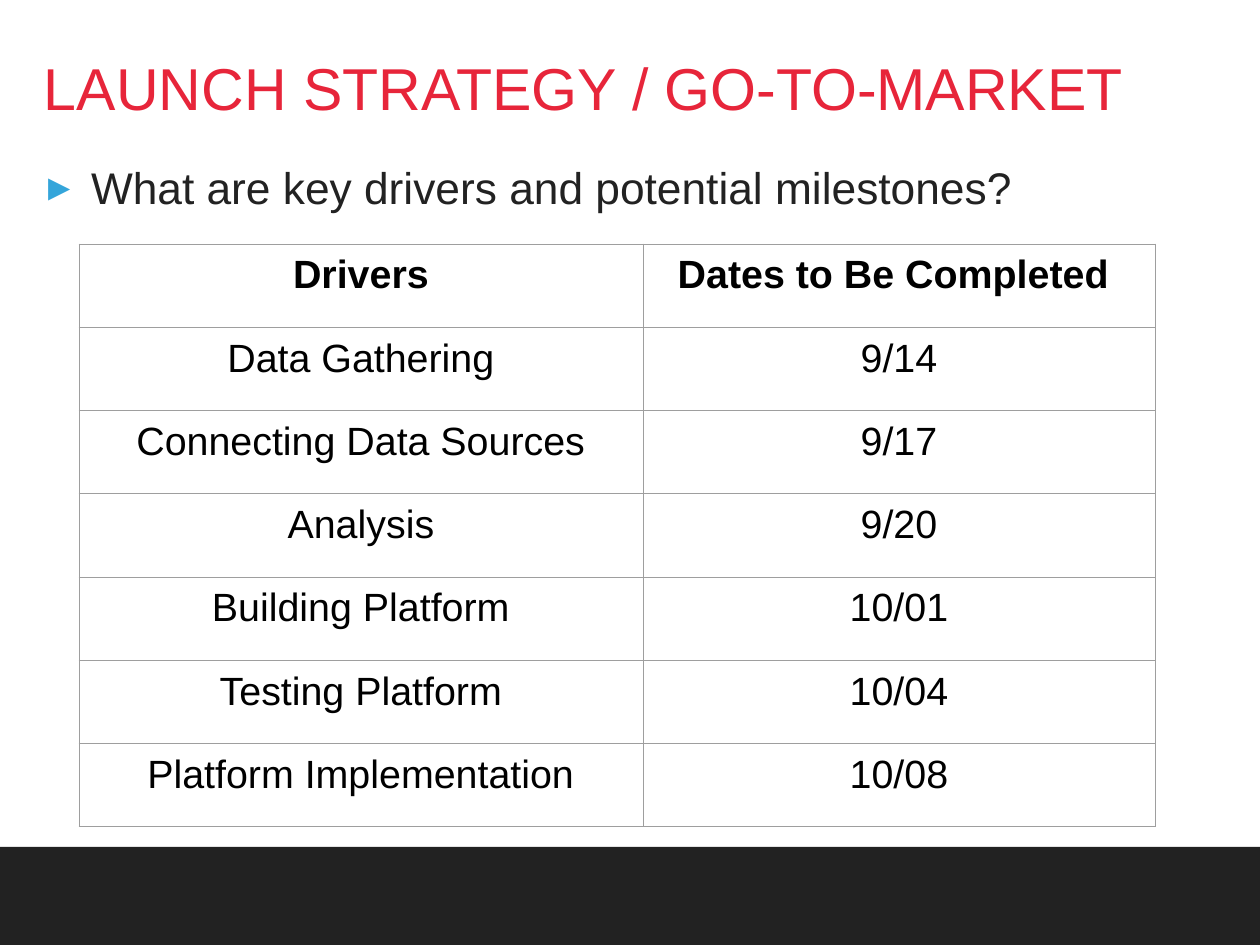
from lxml import etree
from pptx import Presentation
from pptx.dml.color import RGBColor
from pptx.enum.shapes import MSO_SHAPE
from pptx.enum.text import MSO_ANCHOR, PP_ALIGN
from pptx.oxml.ns import qn
from pptx.util import Pt

TITLE = "LAUNCH STRATEGY / GO-TO-MARKET"
QUESTION = "What are key drivers and potential milestones?"
MILESTONES = [
    ("Drivers", "Dates to Be Completed "),
    ("Data Gathering", "9/14"),
    ("Connecting Data Sources", "9/17"),
    ("Analysis", "9/20"),
    ("Building Platform", "10/01"),
    ("Testing Platform", "10/04"),
    ("Platform Implementation", "10/08"),
]

PX = 10320  # EMU per pixel
SLIDE_SIZE = (1260, 945)
TITLE_BOX = (39, 57, 1181, 70)
QUESTION_BOX = (39, 146, 1181, 88)
FOOTER_BOX = (-1, 847, 1262, 99)
TABLE_LEFT, TABLE_TOP, TABLE_HEIGHT = 79, 244, 583
COLUMN_WIDTHS = (564, 512)
CELL_INSET = 9
BULLET_INDENT = 43

FONT = "Arial"
RED = RGBColor(0xE7, 0x25, 0x3A)
DARK = RGBColor(0x22, 0x22, 0x22)
BLACK = RGBColor(0x00, 0x00, 0x00)
BULLET_BLUE = "34A5DA"
BORDER_GRAY = "9E9E9E"
TOP, BOTTOM = MSO_ANCHOR.TOP, MSO_ANCHOR.BOTTOM
LEFT, CENTER = PP_ALIGN.LEFT, PP_ALIGN.CENTER
RECTANGLE = MSO_SHAPE.RECTANGLE


def emu(*lengths):
    return [length * PX for length in lengths]


def set_margins(holder, inset, top_inset=None):
    top = inset if top_inset is None else top_inset
    holder.margin_left = holder.margin_right = holder.margin_bottom = inset * PX
    holder.margin_top = top * PX


def write(frame, text, *, size, color, bold=False, align=LEFT, spacing=None, bullet=None):
    frame.word_wrap = True
    paragraph = frame.paragraphs[0]
    if bullet:
        add_bullet(paragraph, bullet)
    paragraph.alignment = align
    if spacing:
        paragraph.line_spacing = spacing
    run = paragraph.add_run()
    run.text = text
    font = run.font
    font.name, font.size, font.bold = FONT, Pt(size), bold
    font.color.rgb = color


def add_bullet(paragraph, character):
    properties = paragraph._p.get_or_add_pPr()
    properties.set("marL", str(BULLET_INDENT * PX))
    properties.set("indent", str(-BULLET_INDENT * PX))
    color = etree.SubElement(properties, qn("a:buClr"))
    etree.SubElement(color, qn("a:srgbClr"), val=BULLET_BLUE)
    etree.SubElement(properties, qn("a:buFont"), typeface=FONT)
    etree.SubElement(properties, qn("a:buChar"), char=character)


def add_borders(cell):
    properties = cell._tc.get_or_add_tcPr()
    for position, side in enumerate(("a:lnL", "a:lnR", "a:lnT", "a:lnB")):
        line = etree.Element(qn(side), w=str(Pt(0.75)))
        fill = etree.SubElement(line, qn("a:solidFill"))
        etree.SubElement(fill, qn("a:srgbClr"), val=BORDER_GRAY)
        properties.insert(position, line)


def add_text(slide, box, text, anchor, inset, top_inset=None, **text_format):
    frame = slide.shapes.add_textbox(*emu(*box)).text_frame
    frame.vertical_anchor = anchor
    set_margins(frame, inset, top_inset)
    write(frame, text, **text_format)


def add_footer(slide):
    footer = slide.shapes.add_shape(RECTANGLE, *emu(*FOOTER_BOX))
    footer.shadow.inherit = False
    footer.fill.solid()
    footer.fill.fore_color.rgb = DARK
    footer.line.fill.background()


def add_milestone_table(slide):
    box = (TABLE_LEFT, TABLE_TOP, sum(COLUMN_WIDTHS), TABLE_HEIGHT)
    table = slide.shapes.add_table(len(MILESTONES), len(COLUMN_WIDTHS), *emu(*box)).table
    table.horz_banding = False
    for column, width in zip(table.columns, COLUMN_WIDTHS):
        column.width = width * PX
    for row_index, row in enumerate(MILESTONES):
        for column_index, text in enumerate(row):
            cell = table.cell(row_index, column_index)
            cell.fill.background()
            cell.vertical_anchor = TOP
            set_margins(cell, CELL_INSET)
            add_borders(cell)
            write(cell.text_frame, text, size=32, color=BLACK,
                  bold=row_index == 0, align=CENTER)


def main():
    presentation = Presentation()
    presentation.slide_width, presentation.slide_height = emu(*SLIDE_SIZE)
    slide = presentation.slides.add_slide(presentation.slide_layouts[6])
    add_footer(slide)
    add_text(slide, QUESTION_BOX, QUESTION, TOP, 9, top_inset=14,
             size=36, color=DARK, bullet="▸")
    add_text(slide, TITLE_BOX, TITLE, BOTTOM, 5, size=48, color=RED, spacing=0.8)
    add_milestone_table(slide)
    presentation.save("out.pptx")


if __name__ == "__main__":
    main()
